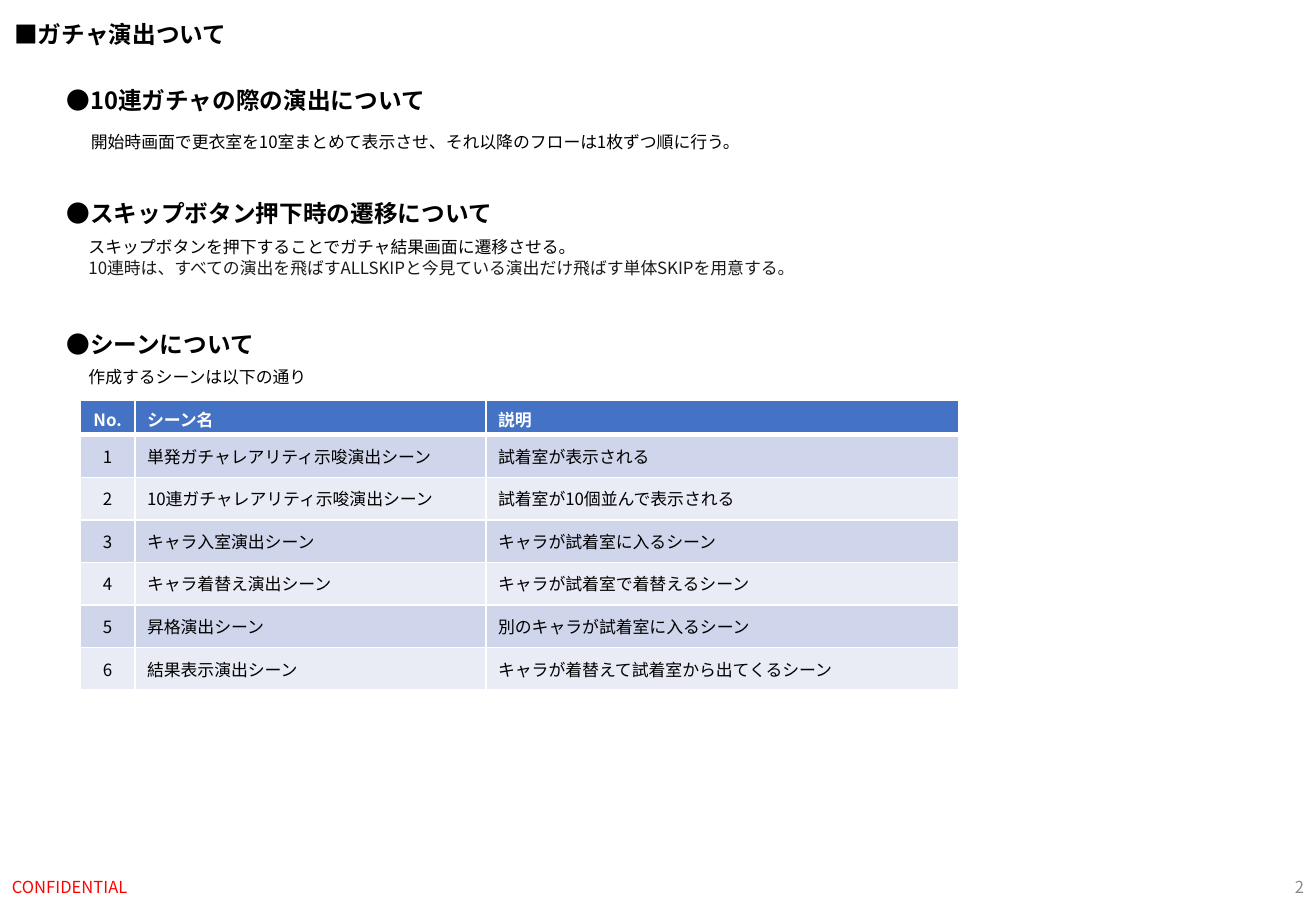
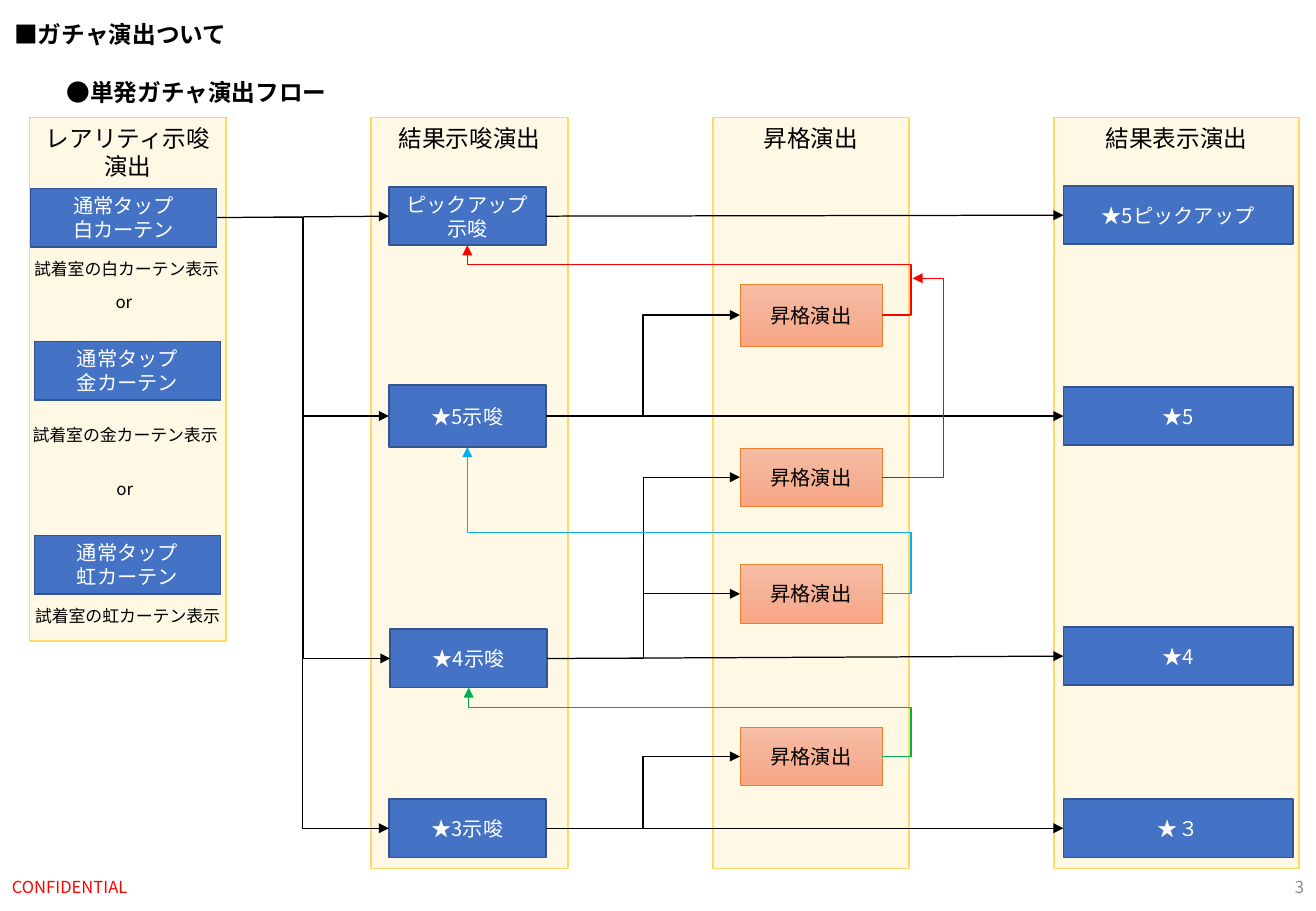
import copy

import lxml.etree
import pptx
import pptx.dml.color
import pptx.enum.shapes
import pptx.enum.text
import pptx.oxml.ns
import pptx.util

Cm = pptx.util.Cm
Pt = pptx.util.Pt
qn = pptx.oxml.ns.qn
ALIGN = pptx.enum.text.PP_ALIGN
ANCHOR = pptx.enum.text.MSO_ANCHOR
CONNECTOR = pptx.enum.shapes.MSO_CONNECTOR

FONT = "Noto Sans CJK JP"
COLORS = {
    "black": "000000", "soft black": "1A1A1A", "white": "FFFFFF",
    "red": "FF0000", "cyan": "00B0F0", "green": "00B050", "gray": "8C8C8C",
    "blue": "4472C4", "blue edge": "325491",
    "lane": "FFF2CC", "lane edge": "FFD966", "promotion edge": "ED7D31",
    "odd row": "CFD5EA", "even row": "E9EBF5",
}
PROMOTION_GRADIENT = [(0, "F7BDA5"), (0.5, "F5B196"), (1, "F8A582")]
TOP, LEFT, BOTTOM, RIGHT = range(4)

SCENES = [
    ("No.", "シーン名", "説明"),
    ("1", "単発ガチャレアリティ示唆演出シーン", "試着室が表示される"),
    ("2", "10連ガチャレアリティ示唆演出シーン", "試着室が10個並んで表示される"),
    ("3", "キャラ入室演出シーン", "キャラが試着室に入るシーン"),
    ("4", "キャラ着替え演出シーン", "キャラが試着室で着替えるシーン"),
    ("5", "昇格演出シーン", "別のキャラが試着室に入るシーン"),
    ("6", "結果表示演出シーン", "キャラが着替えて試着室から出てくるシーン"),
]


def rgb(name):
    return pptx.dml.color.RGBColor.from_string(COLORS[name])


# Text
def write(frame, lines, size, color="black", bold=False, align=ALIGN.LEFT, anchor=ANCHOR.TOP):
    """Write one paragraph per line; a line is a text or a (text, colour) pair."""
    frame.word_wrap = True
    frame.vertical_anchor = anchor
    for index, line in enumerate(lines):
        text, line_color = (line, color) if isinstance(line, str) else line
        paragraph = frame.paragraphs[0] if index == 0 else frame.add_paragraph()
        paragraph.alignment = align
        run = paragraph.add_run()
        run.text = text
        run.font.size = Pt(size)
        run.font.bold = bold
        run.font.color.rgb = rgb(line_color)
        run.font.name = FONT
        east_asian = lxml.etree.SubElement(run.font._element, qn("a:ea"))
        east_asian.set("typeface", FONT)


def add_text(slide, left, top, width, height, lines, size=10, **style):
    box = slide.shapes.add_textbox(Cm(left), Cm(top), Cm(width), Cm(height))
    write(box.text_frame, lines, size, **style)


def add_heading(slide, top, text, left=1.14, width=13.77):
    add_text(slide, left, top, width, 0.86, [text], 14, bold=True)


def add_page(deck, number):
    """Blank slide with the shared title and footer."""
    slide = deck.slides.add_slide(deck.slide_layouts[6])
    add_heading(slide, 0.3, "■ガチャ演出ついて", left=0.05, width=5.2)
    add_text(slide, 0, 18.03, 8.59, 1.02, ["CONFIDENTIAL"], 9.8,
             color="red", anchor=ANCHOR.MIDDLE)
    add_text(slide, 21.79, 18.03, 5.72, 1.02, [str(number)], 9.8,
             color="gray", align=ALIGN.RIGHT, anchor=ANCHOR.MIDDLE)
    return slide


# Table
def set_borders(cell, widths):
    """Put white borders (left, right, top, bottom) ahead of the cell fill."""
    properties = cell._tc.get_or_add_tcPr()
    for index, (side, width) in enumerate(zip("LRTB", widths)):
        border = lxml.etree.Element(qn("a:ln" + side), w=str(Pt(width)))
        fill = lxml.etree.SubElement(border, qn("a:solidFill"))
        lxml.etree.SubElement(fill, qn("a:srgbClr"), val=COLORS["white"])
        properties.insert(index, border)


def add_scene_table(slide, left, top, widths, header_height, row_height):
    heights = [header_height] + [row_height] * (len(SCENES) - 1)
    table = slide.shapes.add_table(len(SCENES), len(widths), Cm(left), Cm(top),
                                   Cm(sum(widths)), Cm(sum(heights))).table
    for column, width in zip(table.columns, widths):
        column.width = Cm(width)
    for r, (scene, height) in enumerate(zip(SCENES, heights)):
        table.rows[r].height = Cm(height)
        header = r == 0
        fill = "blue" if header else "odd row" if r % 2 else "even row"
        for c, text in enumerate(scene):
            cell = table.cell(r, c)
            cell.fill.solid()
            cell.fill.fore_color.rgb = rgb(fill)
            write(cell.text_frame, [text], 10, color="white" if header else "black",
                  bold=header, align=ALIGN.CENTER if c == 0 else ALIGN.LEFT)
            cell.vertical_anchor = ANCHOR.MIDDLE
            set_borders(cell, (1, 1, 3 if r == 1 else 1, 3 if header else 1))


# Flow elements
def add_box(slide, left, top, width, height, edge, edge_width):
    box = slide.shapes.add_shape(pptx.enum.shapes.MSO_SHAPE.RECTANGLE,
                                 Cm(left), Cm(top), Cm(width), Cm(height))
    box.shadow.inherit = False
    box.line.color.rgb = rgb(edge)
    box.line.width = Pt(edge_width)
    return box


def add_lane(slide, left, width, height, title):
    lane = add_box(slide, left, 2.46, width, height, "lane edge", 1)
    lane.fill.solid()
    lane.fill.fore_color.rgb = rgb("lane")
    lane_color = lane._element.spPr.find(qn("a:solidFill"))[0]
    lxml.etree.SubElement(lane_color, qn("a:alpha"), val="50000")
    write(lane.text_frame, [title], 14, align=ALIGN.CENTER)


def add_step(slide, left, top, width, lines, height=1.22):
    step = add_box(slide, left, top, width, height, "blue edge", 1)
    step.fill.solid()
    step.fill.fore_color.rgb = rgb("blue")
    write(step.text_frame, lines, 12, "white", align=ALIGN.CENTER, anchor=ANCHOR.MIDDLE)
    return step


def add_promotion(slide, top, height=1.22):
    promotion = add_box(slide, 15.47, top, 2.97, height, "promotion edge", 0.5)
    promotion.fill.gradient()
    promotion.fill.gradient_angle = 270
    stop_list = promotion._element.spPr.find(qn("a:gradFill")).find(qn("a:gsLst"))
    stop_list.insert(1, copy.deepcopy(stop_list[0]))
    for stop, (position, color) in zip(promotion.fill.gradient_stops, PROMOTION_GRADIENT):
        stop.position = position
        stop.color.rgb = pptx.dml.color.RGBColor.from_string(color)
    write(promotion.text_frame, ["昇格演出"], 12, align=ALIGN.CENTER, anchor=ANCHOR.MIDDLE)
    return promotion


def add_arrow(slide, source, target, kind=CONNECTOR.ELBOW, end_side=LEFT,
              color="black", bends=()):
    """Arrow from the right of source to a side of target, or to a (x, y) point."""
    arrow = slide.shapes.add_connector(kind, 0, 0, 0, 0)
    arrow.begin_connect(source, RIGHT)
    if isinstance(target, tuple):
        arrow.end_x, arrow.end_y = (Cm(length) for length in target)
    else:
        arrow.end_connect(target, end_side)
    arrow.line.color.rgb = rgb(color)
    arrow.line.width = Pt(0.75)
    properties = arrow._element.spPr
    lxml.etree.SubElement(properties.find(qn("a:ln")), qn("a:tailEnd"), type="triangle")
    lxml.etree.SubElement(properties, qn("a:effectLst"))
    geometry = properties.find(qn("a:prstGeom"))
    if len(bends) == 2:
        geometry.set("prst", "bentConnector4")
    for index, bend in enumerate(bends, 1):
        lxml.etree.SubElement(geometry.find(qn("a:avLst")), qn("a:gd"),
                              name=f"adj{index}", fmla=f"val {round(bend * 100000)}")


# Slides
def build_overview(deck):
    slide = add_page(deck, 2)
    add_heading(slide, 1.68, "●10連ガチャの際の演出について")
    add_text(slide, 1.65, 2.62, 15.9, 1.12,
             ["開始時画面で更衣室を10室まとめて表示させ、それ以降のフローは1枚ずつ順に行う。"])
    add_heading(slide, 4.04, "●スキップボタン押下時の遷移について")
    add_text(slide, 1.6, 4.83, 15.9, 1.12, [
        "スキップボタンを押下することでガチャ結果画面に遷移させる。",
        ("10連時は、すべての演出を飛ばすALLSKIPと今見ている演出だけ飛ばす単体SKIPを用意する。",
         "soft black"),
    ])
    add_heading(slide, 6.78, "●シーンについて")
    add_text(slide, 1.6, 7.54, 5.3, 0.69, ["作成するシーンは以下の通り"])
    add_scene_table(slide, 1.68, 8.38, (1.14, 7.34, 9.88), 0.71, 0.89)


def build_flow(deck):
    slide = add_page(deck, 3)
    add_heading(slide, 1.5, "●単発ガチャ演出フロー", width=6.2)

    # Lanes at an equal pitch
    lanes = [("レアリティ示唆演出", 4.11, 10.95), ("結果示唆演出", 4.11, 15.7),
             ("昇格演出", 4.11, 15.7), ("結果表示演出", 5.11, 15.7)]
    for index, (title, width, height) in enumerate(lanes):
        add_lane(slide, 0.62 + 7.14 * index, width, height, title)

    # Rarity hints
    taps = [add_step(slide, left, top, 3.89, ["通常タップ", curtain + "カーテン"])
            for left, top, curtain in [(0.64, 3.94, "白"), (0.72, 7.14, "金"), (0.72, 11.2, "虹")]]
    for left, top, curtain in [(0.41, 5.28, "白"), (0.38, 8.76, "金"), (0.43, 12.55, "虹")]:
        add_text(slide, left, top, 4.47, 0.69, [f"試着室の{curtain}カーテン表示"],
                 align=ALIGN.CENTER)
    for left, top in [(1.88, 5.97), (1.9, 9.88)]:
        add_text(slide, left, top, 1.42, 0.69, ["or"], align=ALIGN.CENTER)

    # Result hints, promotions and results, from the top down
    hints = [add_step(slide, left, top, 3.28, [text], height) for left, top, text, height in [
        (8.13, 3.91, "ピックアップ示唆", 1.22), (8.13, 8.05, "★5示唆", 1.3),
        (8.16, 13.16, "★4示唆", 1.22), (8.13, 16.71, "★3示唆", 1.22)]]
    promotions = [add_promotion(slide, top, height) for top, height in [
        (5.94, 1.3), (9.37, 1.22), (11.81, 1.22), (15.21, 1.22)]]
    results = [add_step(slide, 22.23, top, 4.8, [text]) for top, text in [
        (3.89, "★5ピックアップ"), (8.09, "★5"), (13.11, "★4"), (16.71, "★３")]]

    # Main flow
    add_arrow(slide, taps[0], hints[0], CONNECTOR.STRAIGHT)
    for hint in hints[1:]:
        add_arrow(slide, taps[0], hint)
    for hint, result in zip(hints, results):
        add_arrow(slide, hint, result, CONNECTOR.STRAIGHT)
    for hint, promotion in zip((hints[1], hints[2], hints[2], hints[3]), promotions):
        add_arrow(slide, hint, promotion)

    # Promotions back to a higher hint
    for promotion, hint, color, rise in [(promotions[0], hints[0], "red", 0.72),
                                         (promotions[2], hints[1], "cyan", 0.42),
                                         (promotions[3], hints[2], "green", 0.71)]:
        add_arrow(slide, promotion, hint, end_side=BOTTOM, color=color, bends=(-0.07, rise))
    add_arrow(slide, promotions[1], (19.08, 5.82), color="red", bends=(2,))


def main():
    deck = pptx.Presentation()
    deck.slide_width, deck.slide_height = Cm(27.51), Cm(19.05)
    build_overview(deck)
    build_flow(deck)
    deck.save("out.pptx")


if __name__ == "__main__":
    main()
